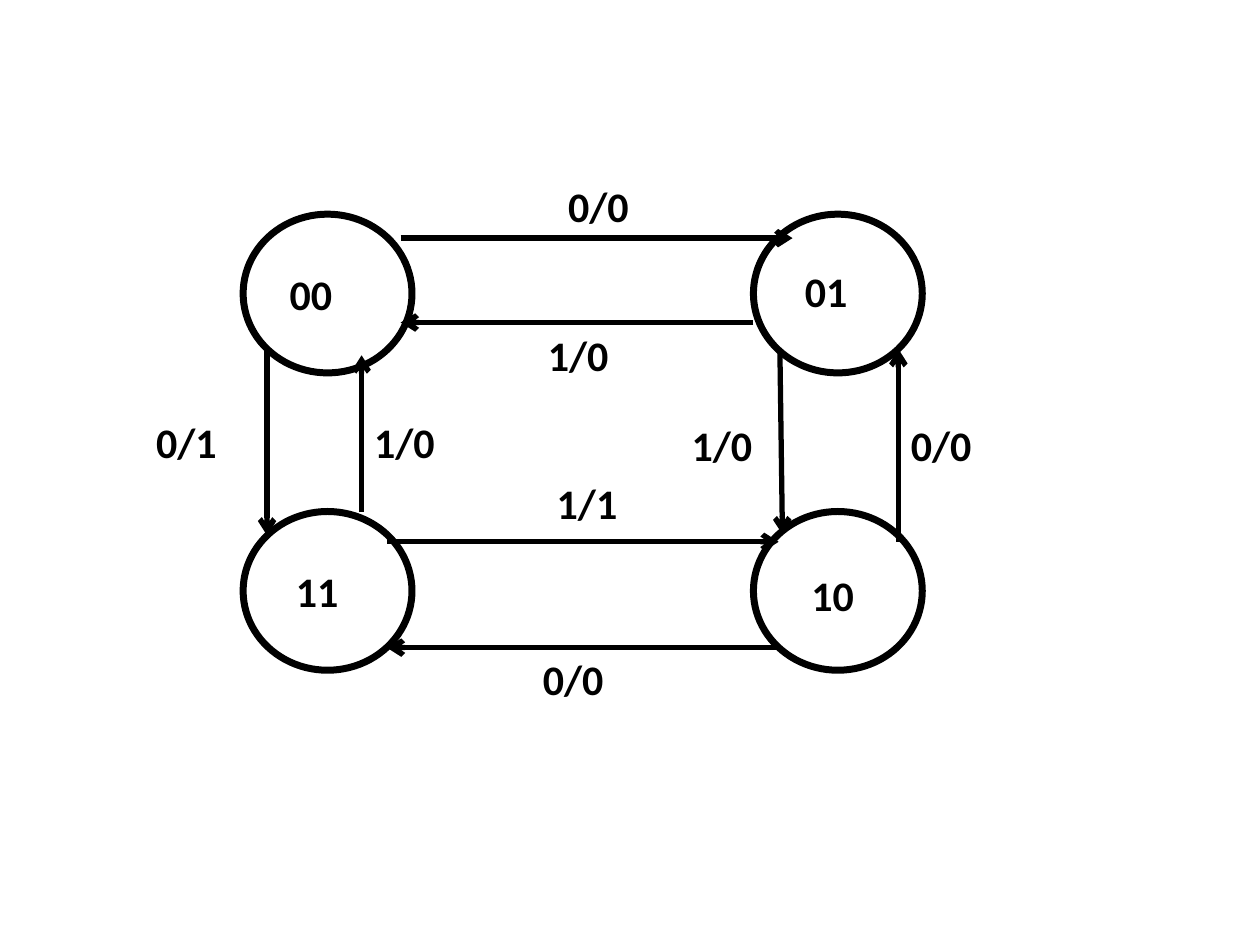
from dataclasses import dataclass

from lxml.etree import SubElement
from pptx import Presentation
from pptx.dml.color import RGBColor
from pptx.enum.shapes import MSO_CONNECTOR, MSO_SHAPE
from pptx.enum.text import MSO_AUTO_SIZE
from pptx.oxml.ns import qn
from pptx.slide import Slide
from pptx.util import Inches, Pt


@dataclass(frozen=True)
class Theme:
    """Colours, font, type size and line widths of the diagram."""

    ink: RGBColor = RGBColor(0, 0, 0)
    paper: RGBColor = RGBColor(255, 255, 255)
    font: str = "Calibri"
    label_size: Pt = Pt(24)
    state_line: Pt = Pt(4)
    transition_line: Pt = Pt(3)


@dataclass(frozen=True)
class Label:
    """Text with the top left corner of its box in inches."""

    text: str
    left: float
    top: float


@dataclass(frozen=True)
class State:
    """Circle of the state machine and its code."""

    left: float
    top: float
    code: Label


@dataclass(frozen=True)
class Transition:
    """Arrow between two states and its input/output label."""

    start: tuple[float, float]
    end: tuple[float, float]
    signal: Label


THEME = Theme()
STATE_WIDTH, STATE_HEIGHT = 1.34, 1.26
LABEL_WIDTH, LABEL_HEIGHT = 0.98, 0.5
LEFT, RIGHT = 1.93, 5.98
TOP, BOTTOM = 1.7, 4.06

STATES = (
    State(LEFT, TOP, Label("00", 2.2, 2.08)),
    State(RIGHT, BOTTOM, Label("10", 6.34, 4.47)),
    State(LEFT, BOTTOM, Label("11", 2.25, 4.44)),
    State(RIGHT, TOP, Label("01", 6.29, 2.06)),
)

TRANSITIONS = (
    Transition((3.18, 1.89), (6.29, 1.89), Label("0/0", 4.41, 1.38)),
    Transition((5.98, 2.56), (3.18, 2.56), Label("1/0", 4.25, 2.57)),
    Transition((6.18, 5.14), (3.07, 5.14), Label("0/0", 4.21, 5.14)),
    Transition((3.07, 4.3), (6.18, 4.3), Label("1/1", 4.32, 3.74)),
    Transition((2.12, 2.78), (2.12, 4.25), Label("0/1", 1.14, 3.26)),
    Transition((2.87, 4.06), (2.87, 2.82), Label("1/0", 2.87, 3.26)),
    Transition((7.13, 4.3), (7.13, 2.77), Label("0/0", 7.13, 3.28)),
    Transition((6.19, 2.79), (6.21, 4.24), Label("1/0", 5.39, 3.28)),
)


def draw_state(slide: Slide, state: State) -> None:
    """Draw the outlined circle of a state."""
    circle = slide.shapes.add_shape(
        MSO_SHAPE.OVAL, Inches(state.left), Inches(state.top),
        Inches(STATE_WIDTH), Inches(STATE_HEIGHT),
    )
    circle.shadow.inherit = False
    circle.fill.background()
    circle.line.color.rgb = THEME.ink
    circle.line.width = THEME.state_line


def draw_transition(slide: Slide, transition: Transition) -> None:
    """Draw the arrow of a transition with an open head at its end."""
    points = (Inches(value) for value in transition.start + transition.end)
    arrow = slide.shapes.add_connector(MSO_CONNECTOR.STRAIGHT, *points)
    arrow.line.color.rgb = THEME.ink
    arrow.line.width = THEME.transition_line
    properties = arrow.element.spPr
    SubElement(properties.find(qn("a:ln")), qn("a:tailEnd"), type="arrow")
    SubElement(properties, qn("a:effectLst"))


def draw_label(slide: Slide, label: Label) -> None:
    """Write a label in the bold type of the diagram."""
    box = slide.shapes.add_textbox(
        Inches(label.left), Inches(label.top),
        Inches(LABEL_WIDTH), Inches(LABEL_HEIGHT),
    )
    frame = box.text_frame
    frame.word_wrap = True
    frame.auto_size = MSO_AUTO_SIZE.SHAPE_TO_FIT_TEXT
    run = frame.paragraphs[0].add_run()
    run.text = label.text
    formats = {"name": THEME.font, "size": THEME.label_size, "bold": True}
    for attribute, value in formats.items():
        setattr(run.font, attribute, value)
    run.font.color.rgb = THEME.ink


def main() -> None:
    """Build and save the state diagram."""
    presentation = Presentation()
    presentation.slide_width = Inches(10)
    presentation.slide_height = Inches(7.5)
    slide = presentation.slides.add_slide(presentation.slide_layouts[6])
    slide.background.fill.solid()
    slide.background.fill.fore_color.rgb = THEME.paper
    for state in STATES:
        draw_state(slide, state)
    for transition in TRANSITIONS:
        draw_transition(slide, transition)
    for labelled in TRANSITIONS:
        draw_label(slide, labelled.signal)
    for state in STATES:
        draw_label(slide, state.code)
    presentation.save("out.pptx")


if __name__ == "__main__":
    main()
